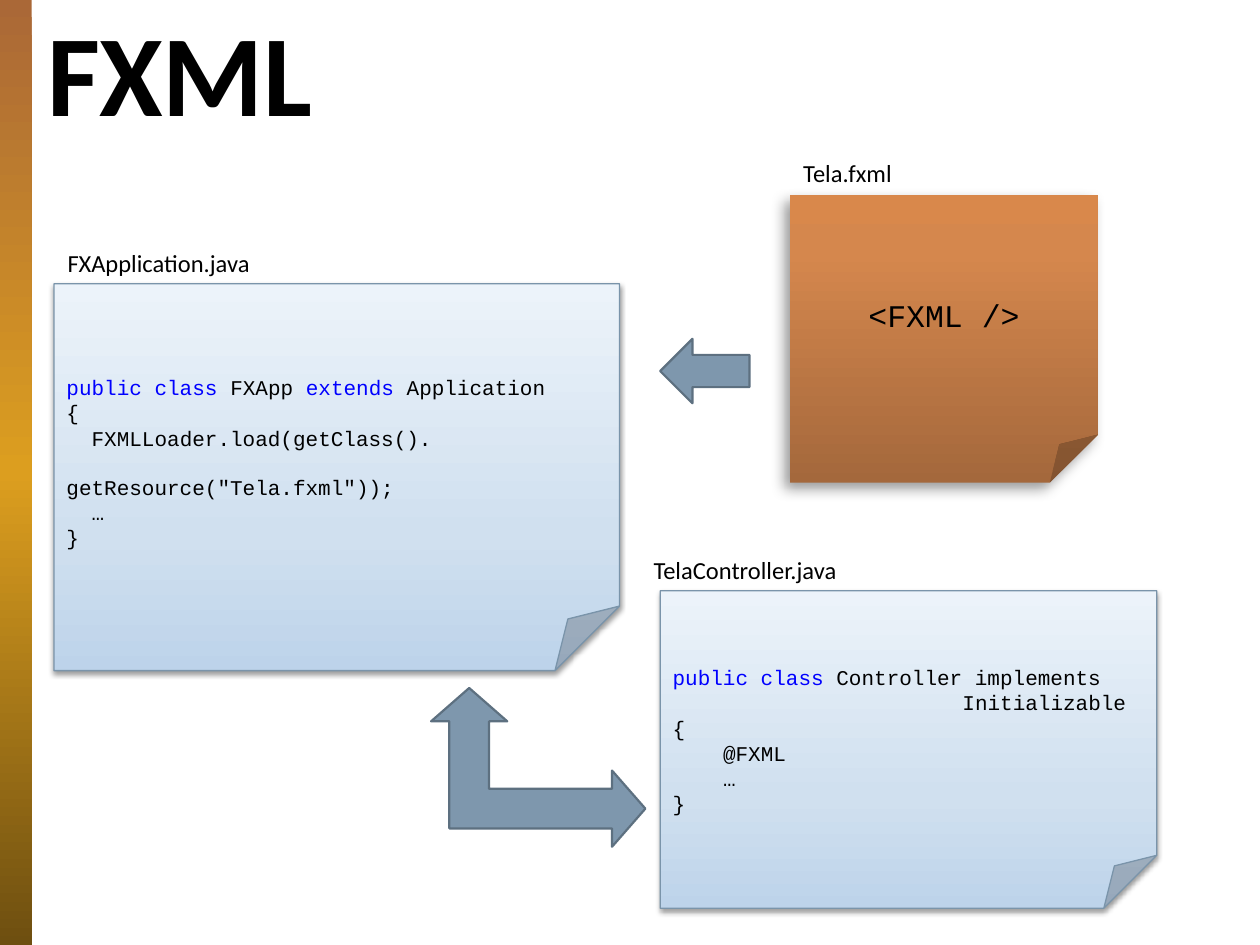
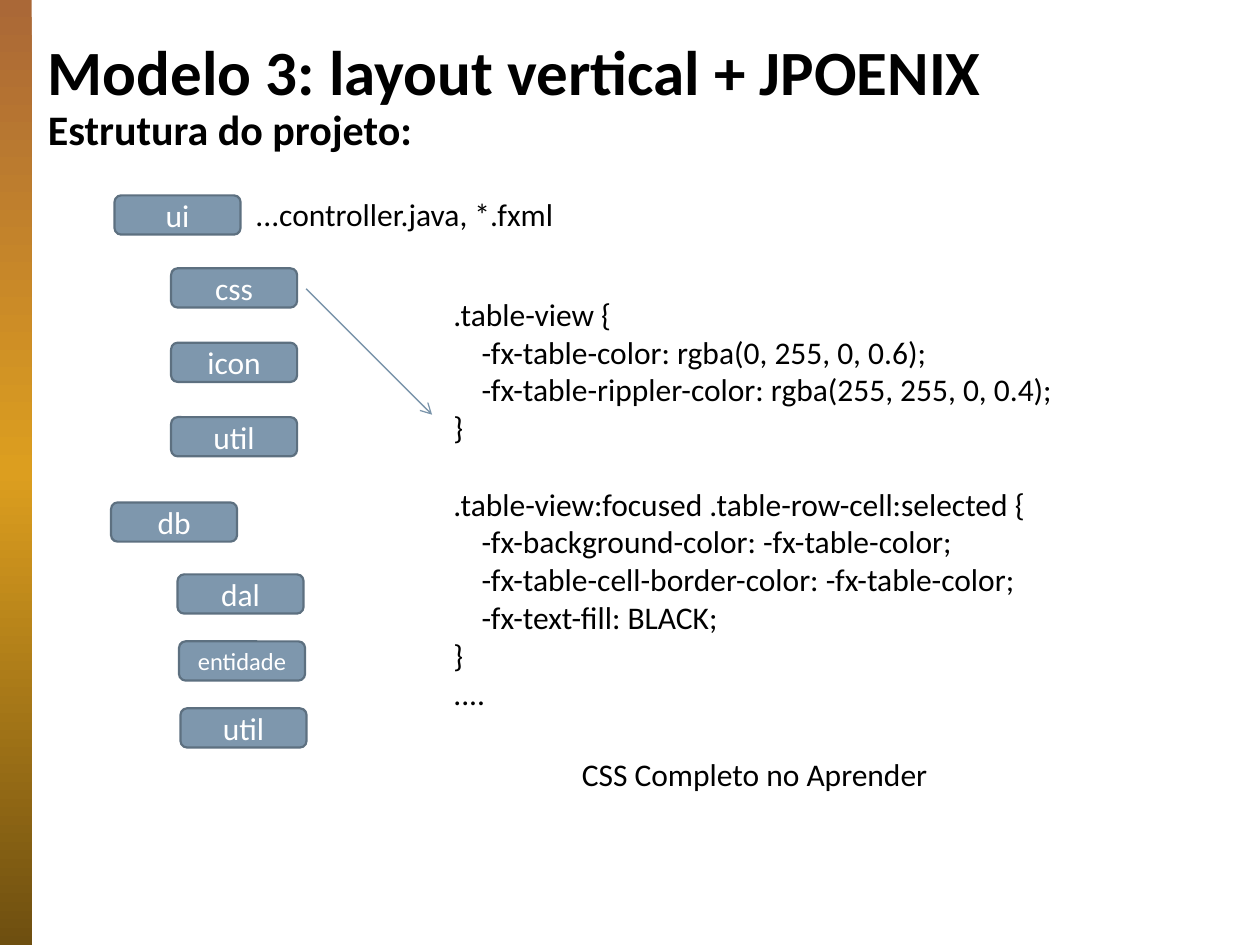
from dataclasses import dataclass

from pptx import Presentation
from pptx.dml.color import RGBColor
from pptx.enum.shapes import MSO_CONNECTOR, MSO_SHAPE
from pptx.enum.text import MSO_ANCHOR, MSO_AUTO_SIZE, PP_ALIGN
from pptx.oxml import parse_xml
from pptx.oxml.ns import nsdecls, qn
from pptx.util import Cm, Pt

LEFT, CENTER = PP_ALIGN.LEFT, PP_ALIGN.CENTER
MIDDLE = MSO_ANCHOR.MIDDLE
NO_FIT, GROW = MSO_AUTO_SIZE.NONE, MSO_AUTO_SIZE.SHAPE_TO_FIT_TEXT
RECTANGLE, ROUNDED = MSO_SHAPE.RECTANGLE, MSO_SHAPE.ROUNDED_RECTANGLE
FOLDED = MSO_SHAPE.FOLDED_CORNER
LEFT_ARROW, LEFT_UP_ARROW = MSO_SHAPE.LEFT_ARROW, MSO_SHAPE.LEFT_UP_ARROW
STRAIGHT = MSO_CONNECTOR.STRAIGHT
TITLE_ONLY = 5


@dataclass(frozen=True)
class Theme:
    """Colours, fonts and type sizes shared by the slides."""
    font: str = "Calibri"
    code_font: str = "Courier New"
    ink: str = "000000"
    white: str = "FFFFFF"
    keyword: str = "0000FF"
    steel: str = "7E97AD"
    steel_edge: str = "5D7080"
    thin_line: str = "7A94AA"
    band: tuple = ((0, "AA6837"), (50, "DC9E1F"), (100, "6E4F10"))
    paper: tuple = ((0, "BDD3EA"), (35, "D0E0EF"), (100, "ECF3FA"))
    copper: tuple = ((0, "A4683C"), (80, "D5874D"), (100, "D9884B"))
    paper_shadow: tuple = (38, 3.1, 1.6, 90)
    copper_shadow: tuple = (40, 8, 5, 135)
    huge: int = 66
    title: int = 36
    subtitle: int = 24
    body: int = 18
    label: int = 14
    code: int = 12


THEME = Theme()


@dataclass(frozen=True)
class Line:
    """A line of code; keywords stand between backticks, indent in cm, gap in points."""
    text: str
    indent: float = 0
    gap: float = 0


CODE_CHAR = 0.254
CSS_INDENT = 0.57

APPLICATION_CODE = (
    Line("`public class `FXApp `extends `Application"),
    Line("{"),
    Line("FXMLLoader.load(getClass().", 2 * CODE_CHAR),
    Line('getResource("Tela.fxml"));', gap=13.6),
    Line("…", 2 * CODE_CHAR),
    Line("}"),
)
CONTROLLER_CODE = (
    Line("`public class` Controller implements"),
    Line("Initializable", 23 * CODE_CHAR),
    Line("{"),
    Line("@FXML", 4 * CODE_CHAR),
    Line("…", 4 * CODE_CHAR),
    Line("}"),
)
TABLE_CSS = (
    Line(".table-view {"),
    Line("-fx-table-color: rgba(0, 255, 0, 0.6);", CSS_INDENT),
    Line("-fx-table-rippler-color: rgba(255, 255, 0, 0.4);", CSS_INDENT),
    Line("}"),
    Line(".table-view:focused .table-row-cell:selected {", gap=22),
    Line("-fx-background-color: -fx-table-color;", CSS_INDENT),
    Line("-fx-table-cell-border-color: -fx-table-color;", CSS_INDENT),
    Line("-fx-text-fill: BLACK;", CSS_INDENT),
    Line("}"),
    Line("...."),
)


def rgb(color):
    """Turn a hex string into a colour."""
    return RGBColor.from_string(color)


def style_font(font, size, color=THEME.ink, name=THEME.font):
    """Set the face, size and colour of a font."""
    font.name, font.size = name, Pt(size)
    font.color.rgb = rgb(color)


def write_lines(frame, lines, size, color=THEME.ink, name=THEME.font, align=LEFT):
    """Fill a text frame with one paragraph per line."""
    for index, line in enumerate(lines):
        paragraph = frame.add_paragraph() if index else frame.paragraphs[0]
        paragraph.alignment = align
        style_font(paragraph.font, size, color, name)
        if line.indent:
            paragraph._p.get_or_add_pPr().set("marL", str(Cm(line.indent)))
        if line.gap:
            paragraph.space_before = Pt(line.gap)
        for part, text in enumerate(line.text.split("`")):
            if text:
                run = paragraph.add_run()
                run.text = text
                if part % 2:
                    run.font.color.rgb = rgb(THEME.keyword)


def set_gradient(shape, stops, angle):
    """Give a shape a linear gradient fill."""
    marks = "".join(
        f'<a:gs pos="{pos * 1000}"><a:srgbClr val="{color}"/></a:gs>' for pos, color in stops)
    gradient = parse_xml(
        f'<a:gradFill {nsdecls("a")} rotWithShape="1"><a:gsLst>{marks}</a:gsLst>'
        f'<a:lin ang="{angle * 60000}" scaled="0"/></a:gradFill>')
    shape.element.spPr.find(qn("a:prstGeom")).addnext(gradient)


def set_shadow(shape, opacity, blur, distance, angle):
    """Give a shape a black outer shadow."""
    shape.element.spPr.find(qn("a:effectLst")).append(parse_xml(
        f'<a:outerShdw {nsdecls("a")} blurRad="{Pt(blur)}" dist="{Pt(distance)}" '
        f'dir="{angle * 60000}" algn="ctr" rotWithShape="0"><a:srgbClr val="{THEME.ink}">'
        f'<a:alpha val="{opacity * 1000}"/></a:srgbClr></a:outerShdw>'))


def add_plain_shape(slide, kind, box, edge=None, weight=0.75):
    """Add a preset shape without shadow, outlined only if an edge colour is given."""
    shape = slide.shapes.add_shape(kind, *map(Cm, box))
    shape.shadow.inherit = False
    if edge:
        shape.line.color.rgb = rgb(edge)
        shape.line.width = Pt(weight)
    else:
        shape.line.fill.background()
    return shape


def add_steel_shape(slide, kind, box):
    """Add a steel-blue shape with a darker outline."""
    shape = add_plain_shape(slide, kind, box, THEME.steel_edge, 1.25)
    shape.fill.solid()
    shape.fill.fore_color.rgb = rgb(THEME.steel)
    return shape


def add_master_band(slide):
    """Put the copper side band on the slide master, behind everything."""
    band = add_plain_shape(slide, RECTANGLE, (0, 0, 0.64, 19.05))
    set_gradient(band, THEME.band, 90)
    slide.slide_layout.slide_master.shapes.element.insert(2, band.element)


def add_titled_slide(deck, title, size, width, height, subtitle=None):
    """Add a slide with a left-aligned bold title and an optional second line."""
    slide = deck.slides.add_slide(deck.slide_layouts[TITLE_ONLY])
    heading = slide.shapes.title
    heading.left, heading.top = Cm(0.71), Cm(0)
    heading.width, heading.height = Cm(width), Cm(height)
    frame = heading.text_frame
    frame.auto_size, frame.vertical_anchor = NO_FIT, MIDDLE
    paragraph = frame.paragraphs[0]
    paragraph.alignment, paragraph.line_spacing = LEFT, 0.9
    style_font(paragraph.font, size)
    paragraph.font.bold = True
    paragraph.add_run().text = title
    if subtitle:
        paragraph.add_line_break()
        second = paragraph.add_run()
        second.text = subtitle
        second.font.size = Pt(THEME.subtitle)
    return slide


def add_note(slide, box, stops, shadow, edge=None):
    """Add a sheet with a folded corner and return its text frame."""
    note = add_plain_shape(slide, FOLDED, box, edge)
    set_gradient(note, stops, 270)
    set_shadow(note, *shadow)
    note.text_frame.vertical_anchor = MIDDLE
    return note.text_frame


def add_code_note(slide, box, lines):
    """Add a pale blue sheet of source code."""
    frame = add_note(slide, box, THEME.paper, THEME.paper_shadow, THEME.thin_line)
    frame.margin_top = Cm(0.82)
    write_lines(frame, lines, THEME.code, name=THEME.code_font)


def add_text(slide, box, lines, size=THEME.body, align=LEFT):
    """Add an unwrapped text box."""
    frame = slide.shapes.add_textbox(*map(Cm, box)).text_frame
    frame.word_wrap, frame.auto_size = False, GROW
    write_lines(frame, lines, size, align=align)


def add_package(slide, name, left, top, size=THEME.body):
    """Add a rounded box that names a package."""
    package = add_steel_shape(slide, ROUNDED, (left, top, 2.54, 0.79))
    package.text_frame.vertical_anchor = MIDDLE
    write_lines(package.text_frame, [Line(name)], size, THEME.white, align=CENTER)


def add_thin_arrow(slide, start, end):
    """Add a thin straight line with an open arrowhead at its end."""
    arrow = slide.shapes.add_connector(STRAIGHT, *map(Cm, start + end))
    arrow.line.color.rgb = rgb(THEME.thin_line)
    arrow.line.width = Pt(0.75)
    arrow.line._get_or_add_ln().append(
        parse_xml(f'<a:tailEnd {nsdecls("a")} type="arrow"/>'))
    arrow.element.spPr.append(parse_xml(f'<a:effectLst {nsdecls("a")}/>'))


def build_fxml_slide(deck):
    """Show how the application, the view and the controller relate."""
    slide = add_titled_slide(deck, "FXML", THEME.huge, 22.2, 3.18)
    add_master_band(slide)
    add_code_note(slide, (13.31, 11.91, 10.01, 6.4), CONTROLLER_CODE)
    add_code_note(slide, (1.09, 5.72, 11.4, 7.8), APPLICATION_CODE)
    view = add_note(slide, (15.93, 3.94, 6.2, 5.79), THEME.copper, THEME.copper_shadow)
    write_lines(view, [Line("<FXML />")], THEME.body, name=THEME.code_font, align=CENTER)
    for name, left, top, width in (
            ("FXApplication.java", 1.09, 4.88, 4.22),
            ("TelaController.java", 12.9, 11.07, 4.24),
            ("Tela.fxml", 15.93, 3.07, 2.31)):
        add_text(slide, (left, top, width, 0.86), [Line(name)], THEME.label, CENTER)
    two_way = add_steel_shape(slide, LEFT_UP_ARROW, (9.25, 13.31, 3.2, 4.32))
    two_way.rotation = 90
    for index, value in enumerate((0.25, 0.24, 0.21)):
        two_way.adjustments[index] = value
    add_steel_shape(slide, LEFT_ARROW, (13.31, 6.83, 1.8, 1.3))


def build_structure_slide(deck):
    """Show the package tree of the project and its style sheet."""
    slide = add_titled_slide(deck, "Modelo 3: layout vertical + JPOENIX", THEME.title,
                             24.41, 3.94, "Estrutura do projeto:")
    add_package(slide, "ui", 2.31, 3.94)
    add_package(slide, "db", 2.24, 10.13)
    for row, name in enumerate(("css", "icon", "util")):
        add_package(slide, name, 3.45, 5.41 + 1.5 * row)
    for row, (name, size) in enumerate(
            (("dal", THEME.body), ("entidade", THEME.label), ("util", THEME.body))):
        add_package(slide, name, 3.58 + 0.03 * row, 11.58 + 1.35 * row, size)
    add_text(slide, (4.9, 3.81, 6.58, 1.02), [Line("...controller.java, *.fxml")])
    add_text(slide, (8.89, 5.82, 12.78, 8.71), TABLE_CSS)
    add_text(slide, (11.48, 15.09, 7.57, 1.02), [Line("CSS Completo no Aprender")])
    add_thin_arrow(slide, (6.17, 5.82), (8.71, 8.36))


def main():
    """Build and save the deck."""
    deck = Presentation()
    deck.slide_width, deck.slide_height = Cm(25.4), Cm(19.05)
    build_fxml_slide(deck)
    build_structure_slide(deck)
    deck.save("out.pptx")


if __name__ == "__main__":
    main()
